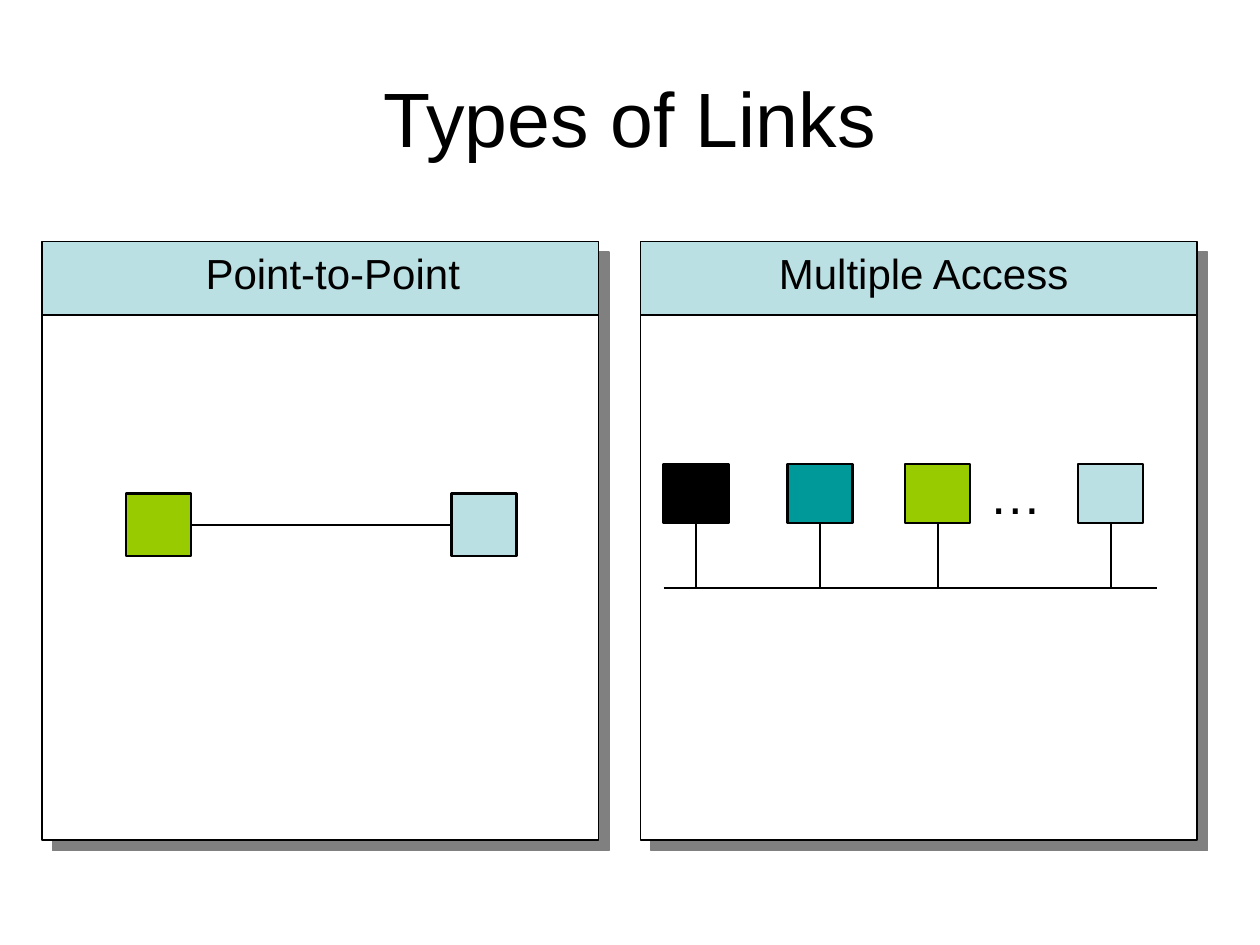
import pptx
import pptx.dml.color
import pptx.enum.shapes
import pptx.enum.text
import pptx.oxml
import pptx.oxml.ns
import pptx.util

BLACK = pptx.dml.color.RGBColor(0x00, 0x00, 0x00)
WHITE = pptx.dml.color.RGBColor(0xFF, 0xFF, 0xFF)
PALE_BLUE = pptx.dml.color.RGBColor(0xBB, 0xE0, 0xE3)
TEAL = pptx.dml.color.RGBColor(0x00, 0x99, 0x99)
GREEN = pptx.dml.color.RGBColor(0x99, 0xCC, 0x00)

BOTTOM, LEFT, RIGHT = 2, 1, 3  # connection sites of a rectangle
SHADOW = (
    '<a:effectLst %s><a:outerShdw dist="107950" dir="2700000" algn="ctr" '
    'rotWithShape="0"><a:srgbClr val="808080"/></a:outerShdw></a:effectLst>'
    % pptx.oxml.ns.nsdecls("a")
)
NO_EFFECT = "<a:effectLst %s/>" % pptx.oxml.ns.nsdecls("a")


class LinkSlide:
    """Style and current slide; lengths are in a grid of 120 columns by 90 rows."""

    font = "Arial"
    cell = pptx.util.Inches(1 / 12)

    def __init__(self, deck):
        self.slide = deck.slides.add_slide(deck.slide_layouts[5])
        self.shapes = self.slide.shapes

    def grid(self, *lengths):
        return [round(length * self.cell) for length in lengths]

    def set_text(self, frame, text, size):
        frame.text = text
        font = frame.paragraphs[0].font
        font.name, font.size = self.font, pptx.util.Pt(size)
        font.color.rgb = BLACK

    def title(self, text, left, top, width, height):
        title = self.shapes.title
        title.left, title.top, title.width, title.height = self.grid(
            left, top, width, height)
        self.set_text(title.text_frame, text, 44)
        title.text_frame.vertical_anchor = pptx.enum.text.MSO_ANCHOR.MIDDLE
        title.text_frame.paragraphs[0].alignment = pptx.enum.text.PP_ALIGN.CENTER

    def label(self, text, left, top, width, height, size=24, inset=True):
        frame = self.shapes.add_textbox(
            *self.grid(left, top, width, height)).text_frame
        frame.word_wrap = False
        frame.auto_size = pptx.enum.text.MSO_AUTO_SIZE.SHAPE_TO_FIT_TEXT
        if not inset:
            frame.margin_left = frame.margin_right = 0
            frame.margin_top = frame.margin_bottom = 0
        self.set_text(frame, text, size)

    def box(self, left, top, width, height, fill, weight):
        box = self.shapes.add_shape(
            pptx.enum.shapes.MSO_SHAPE.RECTANGLE,
            *self.grid(left, top, width, height))
        box.shadow.inherit = False
        box.fill.solid()
        box.fill.fore_color.rgb = fill
        box.line.color.rgb = BLACK
        box.line.width = pptx.util.Pt(weight)
        return box

    def panel(self, left):
        # The white body covers the lower part of the coloured header
        for top, fill in ((23, PALE_BLUE), (30, WHITE)):
            sheet = self.box(left, top, 53, 50, fill, 0.75)
            properties = sheet._element.spPr
            properties.remove(properties.find(pptx.oxml.ns.qn("a:effectLst")))
            properties.append(pptx.oxml.parse_xml(SHADOW))

    def node(self, left, top, height, fill):
        return self.box(left, top, 6.2, height, fill, 1.25)

    def link(self, x1, y1, x2, y2):
        link = self.shapes.add_connector(
            pptx.enum.shapes.MSO_CONNECTOR.STRAIGHT, *self.grid(x1, y1, x2, y2))
        link.line.color.rgb = BLACK
        link.line.width = pptx.util.Pt(1.25)
        link._element.spPr.append(pptx.oxml.parse_xml(NO_EFFECT))
        return link


def main():
    deck = pptx.Presentation()
    deck.slide_width, deck.slide_height = pptx.util.Inches(10), pptx.util.Inches(7.5)
    page = LinkSlide(deck)

    # Title and the two panels
    page.title("Types of Links", 6, 3.6, 108, 15)
    for panel_left in (61, 4):
        page.panel(panel_left)
    page.label("Point-to-Point", 18.4, 23, 26.6, 6)
    page.label("Multiple Access", 73, 23, 30.2, 6)

    # Point-to-point: two nodes on one link
    sender = page.node(12, 47, 6, GREEN)
    receiver = page.node(43, 47, 6, PALE_BLUE)
    direct_link = page.link(18.2, 50, 43, 50)
    direct_link.begin_connect(sender, RIGHT)
    direct_link.end_connect(receiver, LEFT)

    # Multiple access: nodes dropping onto a shared bus
    bus_row = 56
    page.link(63.2, bus_row, 110.2, bus_row)
    stations = ((63.2, BLACK), (75, TEAL), (86.2, GREEN), (102.7, PALE_BLUE))
    for station_left, colour in stations:
        station = page.node(station_left, 44.2, 5.6, colour)
        middle = station_left + 3.1
        drop = page.link(middle, 49.8, middle, bus_row)
        drop.begin_connect(station, BOTTOM)
    page.label("…", 94.2, 44, 5, 6, size=30, inset=False)

    deck.save("out.pptx")


if __name__ == "__main__":
    main()
